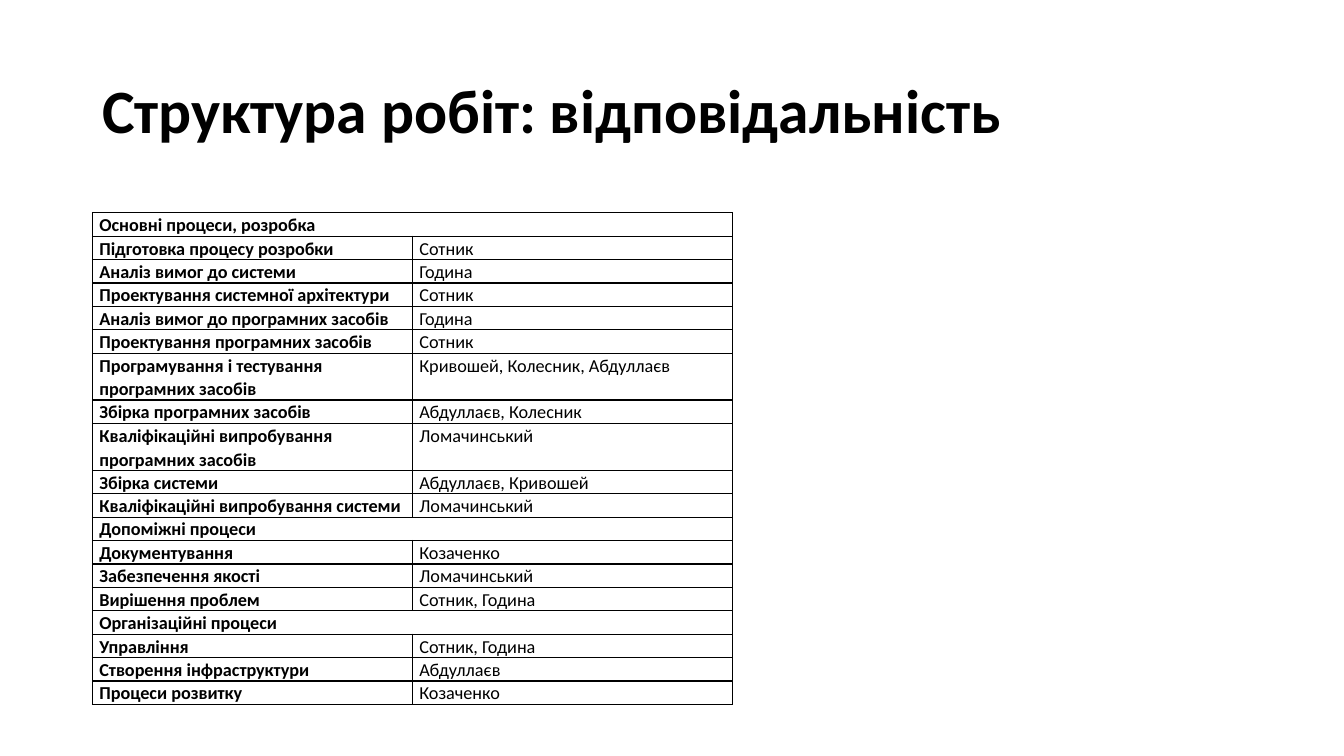
from lxml.etree import SubElement
from pptx import Presentation
from pptx.dml.color import RGBColor
from pptx.enum.text import MSO_ANCHOR
from pptx.oxml.ns import qn
from pptx.util import Pt

TITLE = "Структура робіт: відповідальність"
SECTIONS = {
    "Основні процеси, розробка": [
        ("Підготовка процесу розробки", "Сотник"),
        ("Аналіз вимог до системи", "Година"),
        ("Проектування системної архітектури", "Сотник"),
        ("Аналіз вимог до програмних засобів", "Година"),
        ("Проектування програмних засобів", "Сотник"),
        ("Програмування і тестування програмних засобів", "Кривошей, Колесник, Абдуллаєв"),
        ("Збірка програмних засобів", "Абдуллаєв, Колесник"),
        ("Кваліфікаційні випробування програмних засобів", "Ломачинський"),
        ("Збірка системи", "Абдуллаєв, Кривошей"),
        ("Кваліфікаційні випробування системи", "Ломачинський"),
    ],
    "Допоміжні процеси": [
        ("Документування", "Козаченко"),
        ("Забезпечення якості", "Ломачинський"),
        ("Вирішення проблем", "Сотник, Година"),
    ],
    "Організаційні процеси": [
        ("Управління", "Сотник, Година"),
        ("Створення інфраструктури", "Абдуллаєв"),
        ("Процеси розвитку", "Козаченко"),
    ],
}
COLORS = {"ink": "000000", "paper": "FFFFFF"}
FONT = "Calibri"
LEFT = 66
TABLE_TOP = 152
COLUMN_WIDTH = 228.6
LINE_HEIGHT = 16.32
LONGEST_LINE = 36  # characters that fit on one line of the first column


def write(frame, text, size, bold, spacing):
    frame.text = text
    para = frame.paragraphs[0]
    para.line_spacing = spacing
    font = para.runs[0].font
    font.name, font.size, font.bold = FONT, Pt(size), bold
    font.color.rgb = RGBColor.from_string(COLORS["ink"])


def style_cell(cell):
    """Draw thin borders on all sides, then the fill, as the schema orders them."""
    cell.margin_left = cell.margin_right = Pt(5)
    cell.margin_top = cell.margin_bottom = 0
    properties = cell._tc.get_or_add_tcPr()
    for side in ("a:lnL", "a:lnR", "a:lnT", "a:lnB"):
        line = SubElement(properties, qn(side), w=str(Pt(1)))
        fill = SubElement(line, qn("a:solidFill"))
        SubElement(fill, qn("a:srgbClr"), val=COLORS["ink"])
    cell.fill.solid()
    cell.fill.fore_color.rgb = RGBColor.from_string(COLORS["paper"])


def add_title(page):
    box = page.shapes.add_textbox(Pt(LEFT), Pt(28.75), Pt(828), Pt(104.4))
    box.text_frame.word_wrap = True
    box.text_frame.vertical_anchor = MSO_ANCHOR.MIDDLE
    write(box.text_frame, TITLE, 44, True, 0.9)


def add_responsibility_table(page):
    rows = []
    for section, tasks in SECTIONS.items():
        rows += [(section,), *tasks]
    heights = [LINE_HEIGHT * (2 if len(row[0]) > LONGEST_LINE else 1) for row in rows]
    table = page.shapes.add_table(
        len(rows), 2, Pt(LEFT), Pt(TABLE_TOP), Pt(2 * COLUMN_WIDTH), Pt(sum(heights))
    ).table
    table.first_row = table.horz_banding = False
    for column in table.columns:
        column.width = Pt(COLUMN_WIDTH)
    for index, (row, height) in enumerate(zip(rows, heights)):
        table.rows[index].height = Pt(height)
        for cell in table.rows[index].cells:
            style_cell(cell)
        for column, text in enumerate(row):
            write(table.cell(index, column).text_frame, text, 13, column == 0, 1.07)
        if len(row) == 1:
            table.cell(index, 0).merge(table.cell(index, 1))


def main():
    deck = Presentation()
    deck.slide_width, deck.slide_height = Pt(960), Pt(540)
    page = deck.slides.add_slide(deck.slide_layouts[6])
    add_title(page)
    add_responsibility_table(page)
    deck.save("out.pptx")


if __name__ == "__main__":
    main()
